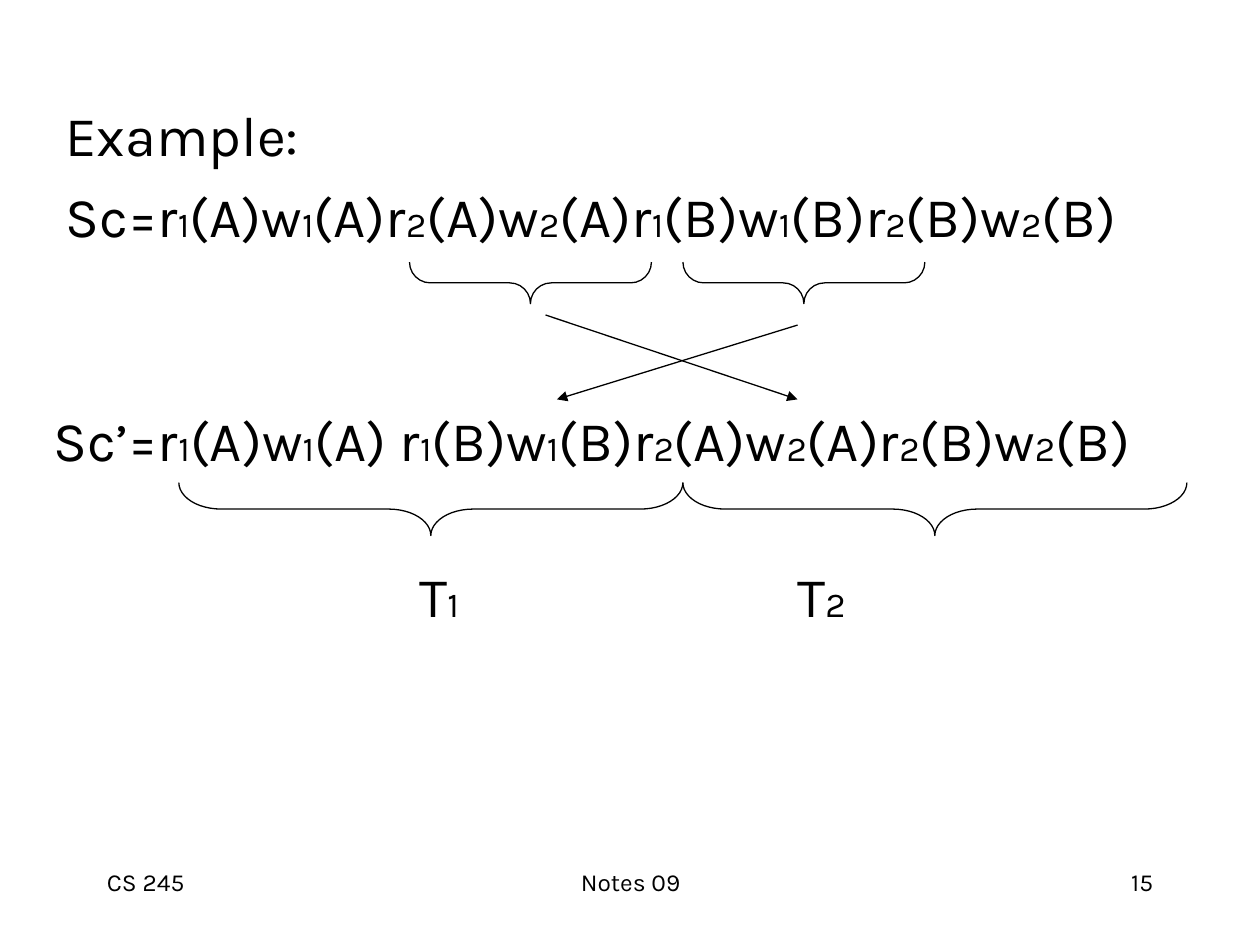
from dataclasses import dataclass
from itertools import groupby

from lxml import etree
from pptx import Presentation
from pptx import util as u
from pptx.dml.color import RGBColor
from pptx.enum import shapes, text
from pptx.oxml import ns


@dataclass(frozen=True)
class Theme:
    font: str = "Karla"
    ink: RGBColor = RGBColor(0, 0, 0)
    body: int = 32
    subscript: int = 20
    footer: int = 14
    paragraph_gap: int = 8
    line: float = 0.75


THEME = Theme()


def add_run(paragraph, words, size):
    run = paragraph.add_run()
    run.text = words
    run.font.name = THEME.font
    run.font.size = u.Pt(size)
    run.font.color.rgb = THEME.ink


def add_frame(slide, left, top, width, height):
    frame = slide.shapes.add_textbox(*map(u.Inches, (left, top, width, height))).text_frame
    frame.word_wrap = True
    frame.vertical_anchor = text.MSO_ANCHOR.TOP
    return frame


def add_footer(slide, left, width, words, alignment):
    paragraph = add_frame(slide, left, 6.83, width, 0.5).paragraphs[0]
    paragraph.alignment = alignment
    add_run(paragraph, words, THEME.footer)


def add_formulas(slide, left, top, width, height, lines):
    """Write one paragraph per line, with every digit set as a small index."""
    frame = add_frame(slide, left, top, width, height)
    for number, line in enumerate(lines):
        paragraph = frame.add_paragraph() if number else frame.paragraphs[0]
        paragraph.space_before = u.Pt(THEME.paragraph_gap)
        for is_index, letters in groupby(line, str.isdigit):
            add_run(paragraph, "".join(letters), THEME.subscript if is_index else THEME.body)


def add_brace(slide, left, top, length, depth, curve):
    """Place a brace that points down; left and top are as seen on the slide."""
    shift = (length - depth) / 2
    brace = slide.shapes.add_shape(
        shapes.MSO_SHAPE.LEFT_BRACE,
        *map(u.Inches, (left + shift, top - shift, depth, length)))
    brace.rotation = 270
    brace.adjustments[0] = curve
    brace.shadow.inherit = False
    brace.fill.background()
    brace.line.color.rgb = THEME.ink
    brace.line.width = u.Pt(THEME.line)


def add_arrow(slide, start, end):
    arrow = slide.shapes.add_connector(
        shapes.MSO_CONNECTOR.STRAIGHT, *map(u.Inches, (*start, *end)))
    arrow.line.color.rgb = THEME.ink
    arrow.line.width = u.Pt(THEME.line)
    properties = arrow.element.spPr
    etree.SubElement(arrow.line._get_or_add_ln(), ns.qn("a:tailEnd"), type="triangle")
    etree.SubElement(properties, ns.qn("a:effectLst"))


def main():
    presentation = Presentation()
    presentation.slide_width = u.Inches(10)
    presentation.slide_height = u.Inches(7.5)
    slide = presentation.slides.add_slide(presentation.slide_layouts[6])

    align = text.PP_ALIGN
    add_footer(slide, 0.75, 2.08, "CS 245", align.LEFT)
    add_footer(slide, 3.42, 3.17, "Notes 09", align.CENTER)
    add_footer(slide, 7.17, 2.08, "15", align.RIGHT)

    add_formulas(slide, 0.42, 0.75, 9.25, 1.42,
                 ["Example:", "Sc=r1(A)w1(A)r2(A)w2(A)r1(B)w1(B)r2(B)w2(B)"])
    add_formulas(slide, 0.33, 3.17, 9.25, 0.65,
                 ["Sc’=r1(A)w1(A) r1(B)w1(B)r2(A)w2(A)r2(B)w2(B)"])

    for left in (3.25, 5.42):
        add_brace(slide, left, 2.08, 1.92, 0.33, 0.5)
    add_arrow(slide, (6.33, 2.58), (4.42, 3.17))
    add_arrow(slide, (4.33, 2.5), (6.33, 3.17))

    for left, label_left, label in ((1.42, 3.23, "T1"), (5.42, 6.23, "T2")):
        add_brace(slide, left, 3.83, 4, 0.42, 0.8)
        add_formulas(slide, label_left, 4.41, 0.8, 0.65, [label])

    presentation.save("out.pptx")


if __name__ == "__main__":
    main()
